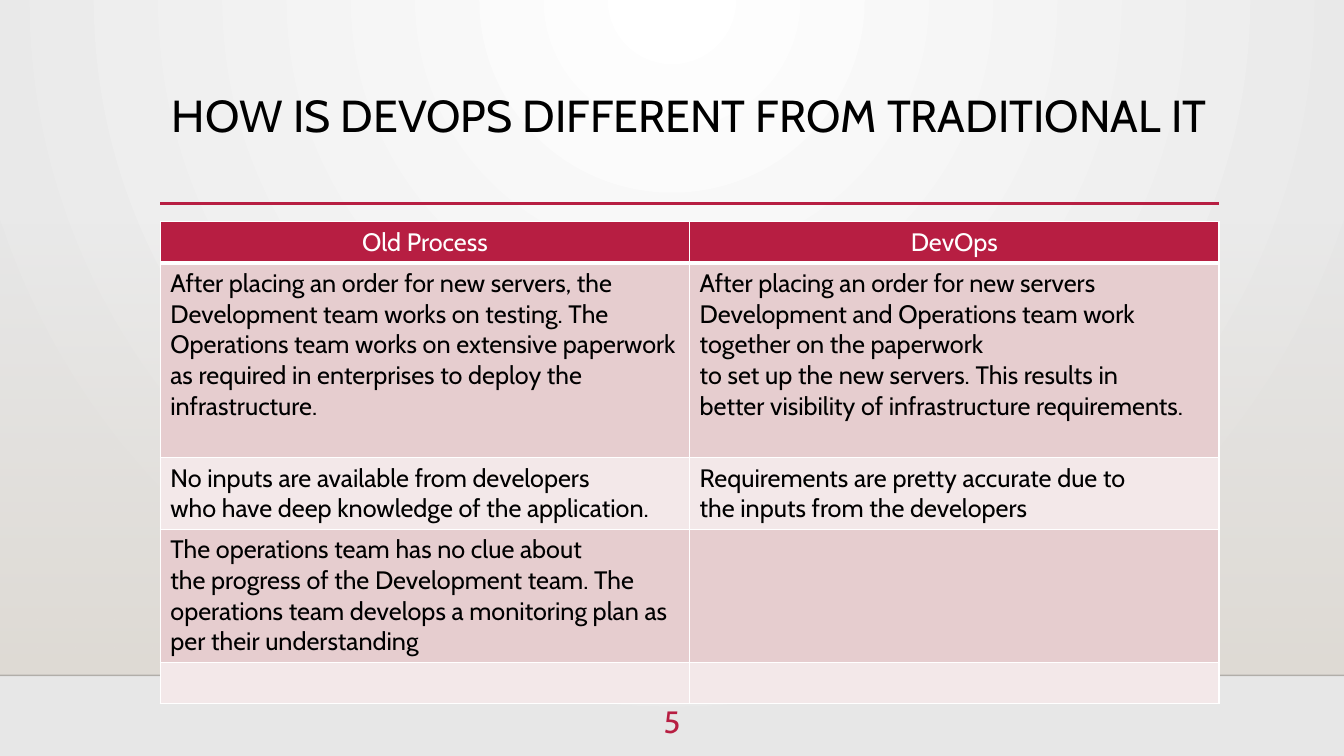
from lxml.etree import SubElement
from pptx import Presentation
from pptx.dml.color import RGBColor
from pptx.enum.shapes import MSO_CONNECTOR, MSO_SHAPE
from pptx.enum.text import MSO_ANCHOR, PP_ALIGN
from pptx.oxml.ns import qn
from pptx.util import Inches, Pt

COLORS = {
    "crimson": "B71E42", "rose": "E6CDCF", "blush": "F3E8E9",
    "white": "FFFFFF", "black": "000000", "silver": "E7E7E7",
    "sand": "DFDBD5", "edge": "000001",
}
WIDTH, HEIGHT = 13.33, 7.5
LEFT, CONTENT_WIDTH = 1.59, 10.5
HORIZON = 6.7


def rgb(name):
    return RGBColor.from_string(COLORS[name])


def set_alpha(color_element, percent):
    SubElement(color_element, qn("a:alpha"), val=str(percent * 1000))


def write_text(frame, text, size=18, color="black", font="Cabin",
               align=PP_ALIGN.LEFT, spacing=None):
    """Write one paragraph per item; a newline inside an item breaks the line."""
    frame.word_wrap = True
    for index, words in enumerate([text] if isinstance(text, str) else text):
        paragraph = frame.add_paragraph() if index else frame.paragraphs[0]
        paragraph.text = words
        paragraph.alignment = align
        paragraph.line_spacing = spacing
        for run in paragraph.runs:
            run.font.size = Pt(size)
            run.font.name = font
            run.font.color.rgb = rgb(color)


class SlideBuilder:
    def __init__(self, presentation):
        self.slide = presentation.slides.add_slide(presentation.slide_layouts[6])
        self.shapes = self.slide.shapes

    def gradient(self, fill, start, end):
        fill.gradient()
        for stop, color in zip(fill.gradient_stops, (start, end)):
            stop.color.rgb = rgb(color)

    def background(self, start, end):
        self.gradient(self.slide.background.fill, start, end)
        grad = self.slide.element.find(".//" + qn("a:gradFill"))
        grad.remove(grad.find(qn("a:lin")))
        glow = SubElement(grad, qn("a:path"), path="circle")
        SubElement(glow, qn("a:fillToRect"), l="43000", r="43000", b="100000")

    def fading_band(self, left, top, width, height, color):
        band = self.shapes.add_shape(MSO_SHAPE.RECTANGLE, Inches(left), Inches(top),
                                     Inches(width), Inches(height))
        band.shadow.inherit = False
        band.line.fill.background()
        self.gradient(band.fill, color, color)
        band.fill.gradient_angle = 270
        set_alpha(band.element.find(".//" + qn("a:srgbClr")), 0)

    def rule(self, left, right, y, color, weight, alpha=None):
        rule = self.shapes.add_connector(MSO_CONNECTOR.STRAIGHT, Inches(left), Inches(y),
                                         Inches(right), Inches(y))
        rule.line.color.rgb = rgb(color)
        rule.line.width = Pt(weight)
        if alpha is not None:
            set_alpha(rule.element.find(".//" + qn("a:srgbClr")), alpha)
        SubElement(rule.element.spPr, qn("a:effectLst"))

    def text(self, left, top, width, height, text, anchor=MSO_ANCHOR.TOP, **style):
        box = self.shapes.add_textbox(Inches(left), Inches(top), Inches(width), Inches(height))
        box.text_frame.vertical_anchor = anchor
        write_text(box.text_frame, text, **style)

    def cell_borders(self, cell, bottom):
        properties = cell._tc.get_or_add_tcPr()
        weights = {"a:lnL": 1, "a:lnR": 1, "a:lnT": 1, "a:lnB": bottom}
        for position, (side, weight) in enumerate(weights.items()):
            border = SubElement(properties, qn(side), w=str(Pt(weight)))
            solid = SubElement(border, qn("a:solidFill"))
            SubElement(solid, qn("a:srgbClr"), val=COLORS["white"])
            properties.insert(position, border)

    def table(self, left, top, width, row_heights, rows):
        columns = len(rows[0])
        table = self.shapes.add_table(len(rows), columns, Inches(left), Inches(top),
                                      Inches(width), Inches(sum(row_heights))).table
        for column in table.columns:
            column.width = Inches(width / columns)
        for r, (row_height, texts) in enumerate(zip(row_heights, rows)):
            table.rows[r].height = Inches(row_height)
            header = r == 0
            for c, words in enumerate(texts):
                cell = table.cell(r, c)
                cell.fill.solid()
                cell.fill.fore_color.rgb = rgb(
                    "crimson" if header else "rose" if r % 2 else "blush")
                self.cell_borders(cell, bottom=3 if header else 1)
                if words:
                    write_text(cell.text_frame, words,
                               color="white" if header else "black",
                               align=PP_ALIGN.CENTER if header else PP_ALIGN.LEFT)


COMPARISON = [
    ("Old Process", "DevOps"),
    ("After placing an order for new servers, the Development team works on testing. "
     "The Operations team works on extensive paperwork as required in enterprises "
     "to deploy the infrastructure.",
     ["After placing an order for new servers Development and Operations team work "
      "together on the paperwork",
      "to set up the new servers. This results in",
      "better visibility of infrastructure requirements."]),
    ("No inputs are available from developers\n"
     "who have deep knowledge of the application.",
     "Requirements are pretty accurate due to\nthe inputs from the developers"),
    ("The operations team has no clue about\nthe progress of the Development team. The\n"
     "operations team develops a monitoring plan as per their understanding", ""),
    ("", ""),
]


def main():
    presentation = Presentation()
    presentation.slide_width = Inches(WIDTH)
    presentation.slide_height = Inches(HEIGHT)
    builder = SlideBuilder(presentation)

    # Backdrop
    builder.background("white", "silver")
    builder.fading_band(0, 2.21, WIDTH, HORIZON - 2.21, "sand")
    builder.rule(0, WIDTH, HORIZON, "edge", 1, alpha=20)

    # Title
    builder.rule(LEFT, LEFT + CONTENT_WIDTH, 2.02, "crimson", 2.5)
    builder.text(LEFT, 0.88, CONTENT_WIDTH, 1.15,
                 "HOW IS DEVOPS DIFFERENT FROM TRADITIONAL IT",
                 size=32, align=PP_ALIGN.CENTER, spacing=0.9)

    # Comparison table
    builder.table(LEFT, 2.2, CONTENT_WIDTH, [0.41, 1.93, 0.71, 1.32, 0.41], COMPARISON)

    # Slide number
    builder.text(6.22, 6.88, 0.89, 0.55, "5", anchor=MSO_ANCHOR.MIDDLE,
                 size=22, color="crimson", align=PP_ALIGN.CENTER)

    presentation.save("out.pptx")


if __name__ == "__main__":
    main()
